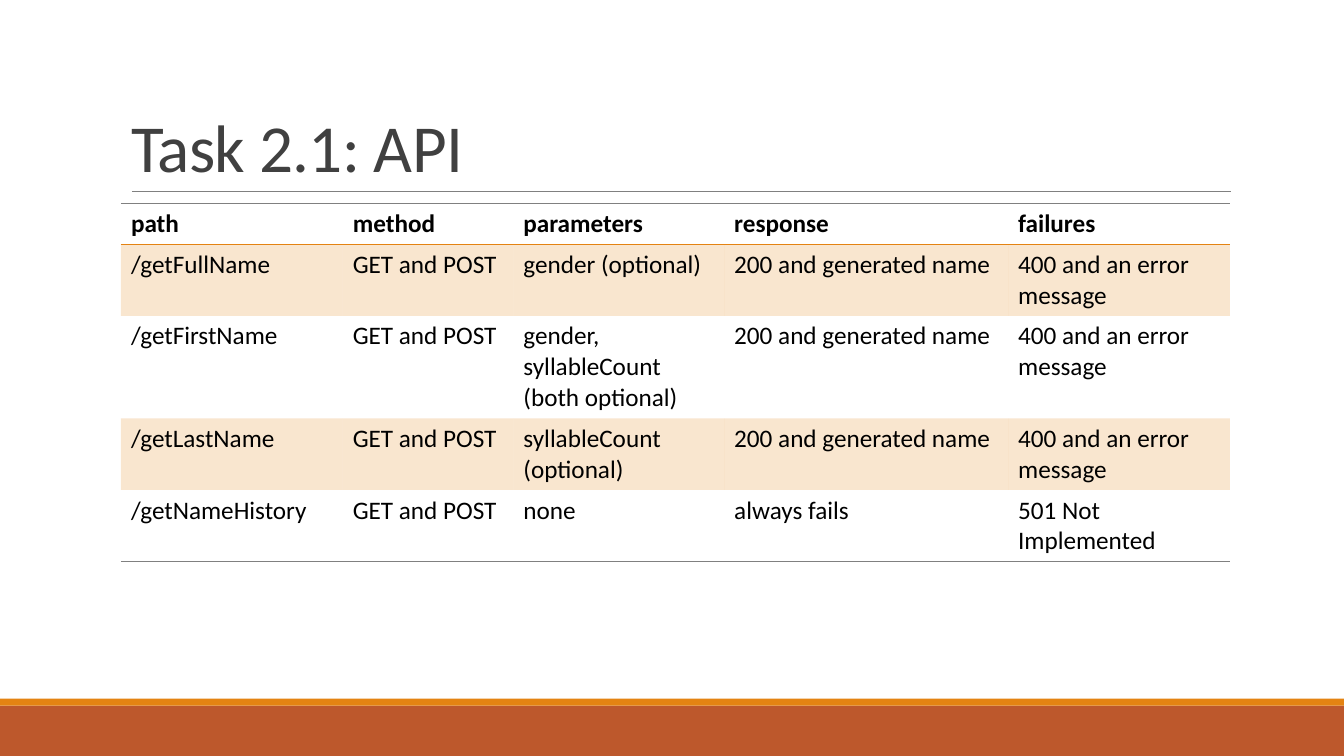
from lxml import etree
from pptx import Presentation
from pptx.dml.color import RGBColor
from pptx.enum import shapes, text
from pptx.oxml import ns
from pptx.util import Pt

TITLE = "Task 2.1: API"
ROWS = [
    ("path", "method", "parameters", "response", "failures"),
    ("/getFullName", "GET and POST", "gender (optional)",
     "200 and generated name", "400 and an error message"),
    ("/getFirstName", "GET and POST", "gender, syllableCount (both optional)",
     "200 and generated name", "400 and an error message"),
    ("/getLastName", "GET and POST", "syllableCount (optional)",
     "200 and generated name", "400 and an error message"),
    ("/getNameHistory", "GET and POST", "none",
     "always fails", "501 Not Implemented"),
]
COLUMN_WIDTHS = [158.4, 121.9, 150.6, 202.8, 158.4]
ROW_HEIGHT = 29.2
BANDS = [(504, 36, "BD582C"), (499, 5, "E48312")]  # top, height, colour
WIDTH, HEIGHT = 960, 540
LEFT = 86.4
FONT, ORANGE, GREY = "Calibri", "E48312", "808080"
PLAIN_STYLE = "{2D5ABB26-0587-4C30-8999-92F81FD0307C}"


def color(value):
    return RGBColor.from_string(value)


def add_text(frame, words, size, hue, bold=False):
    para = frame.paragraphs[0]
    para.alignment = text.PP_ALIGN.LEFT
    span = para.add_run()
    span.text = words
    span.font.name, span.font.size, span.font.bold = FONT, Pt(size), bold
    span.font.color.rgb = color(hue)
    return para, span


def add_child(parent, tag, **attributes):
    return etree.SubElement(parent, ns.qn(tag), **attributes)


def set_border(cell, tag, hue, position):
    line = etree.Element(ns.qn(tag), w=str(Pt(1)))
    add_child(add_child(line, "a:solidFill"), "a:srgbClr", val=hue)
    cell._tc.get_or_add_tcPr().insert(position, line)


def set_fill(cell, hue, opacity):
    cell.fill.solid()
    cell.fill.fore_color.rgb = color(hue)
    tone = cell._tc.tcPr.find(".//" + ns.qn("a:srgbClr"))
    add_child(tone, "a:alpha", val=str(opacity * 1000))


deck = Presentation()
deck.slide_width, deck.slide_height = Pt(WIDTH), Pt(HEIGHT)
page = deck.slides.add_slide(deck.slide_layouts[5])

# Bottom bands
for top, height, hue in BANDS:
    band = page.shapes.add_shape(shapes.MSO_SHAPE.RECTANGLE,
                                 0, Pt(top), Pt(WIDTH), Pt(height))
    band.shadow.inherit = False
    band.fill.solid()
    band.fill.fore_color.rgb = color(hue)
    band.line.fill.background()

# Rule under the title
rule = page.shapes.add_connector(shapes.MSO_CONNECTOR.STRAIGHT,
                                 Pt(94.3), Pt(136.8), Pt(879), Pt(136.8))
rule.line.color.rgb = color(GREY)
rule.line.width = Pt(0.5)
add_child(rule._element.spPr, "a:effectLst")

# Title
title = page.shapes.title
title.left, title.top, title.width, title.height = Pt(LEFT), Pt(22.5), Pt(792), Pt(114.2)
title.text_frame.word_wrap = True
title.text_frame.auto_size = text.MSO_AUTO_SIZE.NONE
title.text_frame.vertical_anchor = text.MSO_ANCHOR.BOTTOM
para, span = add_text(title.text_frame, TITLE, 48, "404040")
para.line_spacing = 0.85
span.font._element.set("spc", "-50")

# Table
frame = page.shapes.add_table(len(ROWS), len(COLUMN_WIDTHS), Pt(LEFT), Pt(145.3),
                              Pt(sum(COLUMN_WIDTHS)), Pt(ROW_HEIGHT * len(ROWS)))
table = frame.table
table.first_row = table.horz_banding = False
table._tbl.tblPr.find(ns.qn("a:tableStyleId")).text = PLAIN_STYLE
for column, width in zip(table.columns, COLUMN_WIDTHS):
    column.width = Pt(width)
for row_index, (row, words) in enumerate(zip(table.rows, ROWS)):
    row.height = Pt(ROW_HEIGHT)
    header, last = row_index == 0, row_index == len(ROWS) - 1
    for cell, label in zip(row.cells, words):
        add_text(cell.text_frame, label, 18, "000000", header)
        if row_index % 2:
            set_fill(cell, ORANGE, 20)
        else:
            cell.fill.background()
        if header:
            set_border(cell, "a:lnT", GREY, 0)
            set_border(cell, "a:lnB", ORANGE, 1)
        if last:
            set_border(cell, "a:lnB", GREY, 0)

deck.save("out.pptx")
